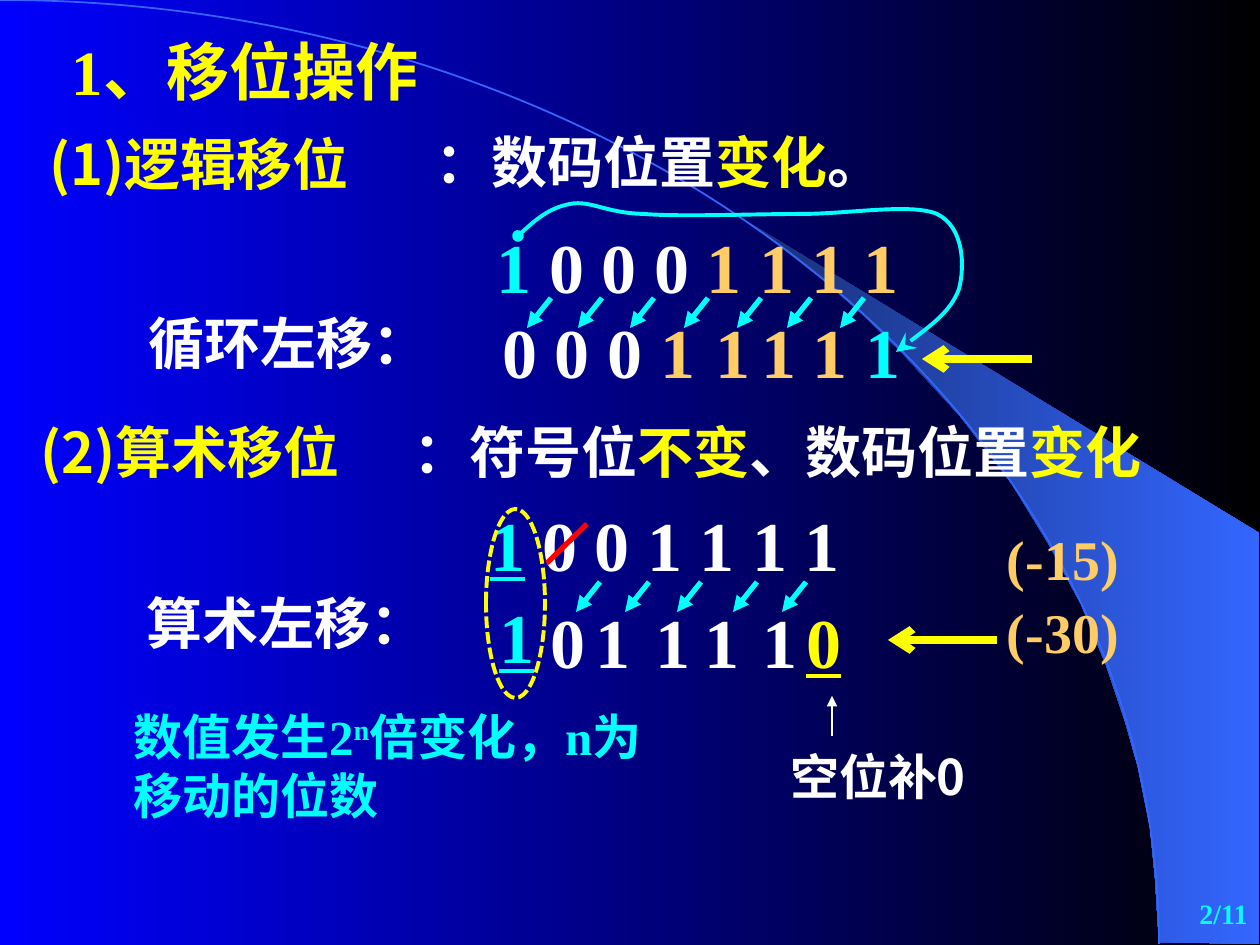
from dataclasses import dataclass
from typing import Optional

from lxml.etree import SubElement
from pptx import Presentation
from pptx.dml.color import RGBColor
from pptx.enum.dml import MSO_LINE
from pptx.enum.shapes import MSO_CONNECTOR as Connector, MSO_SHAPE as Preset
from pptx.enum.text import MSO_ANCHOR as Anchor, MSO_AUTO_SIZE as AutoSize, PP_ALIGN as Align
from pptx.oxml.ns import qn
from pptx.util import Emu, Pt

EMU_PER_PX = 914400 / 126


@dataclass(frozen=True)
class Theme:
    white: str = "FFFFFF"
    yellow: str = "FFFF00"
    cyan: str = "00FFFF"
    orange: str = "FFCC66"
    red: str = "FF0000"
    blue: str = "3366FF"
    navy: str = "182F76"
    sky: tuple = ("0000FF", "000000")
    serif: str = "Times New Roman"
    sans: str = "Noto Sans CJK SC"
    digit: int = 40
    title: int = 36
    body: int = 32
    note: int = 28
    footer: int = 16


THEME = Theme()


@dataclass(frozen=True)
class Span:
    text: str
    color: str = THEME.white
    font: str = THEME.serif
    underline: bool = False
    baseline: int = 0


@dataclass(frozen=True)
class Label:
    left: int
    top: int
    width: int
    height: int
    spans: tuple
    size: int = THEME.body
    align: Align = Align.CENTER
    spacing: Optional[float] = None
    anchor: Anchor = Anchor.TOP


@dataclass(frozen=True)
class Stroke:
    start: tuple
    end: tuple
    color: str
    width: float
    tail: Optional[str] = None


def px(value: float) -> Emu:
    return Emu(round(value * EMU_PER_PX))


def rgb(color: str) -> RGBColor:
    return RGBColor.from_string(color)


def write_label(box, label: Label) -> None:
    box.left, box.top = px(label.left), px(label.top)
    box.width, box.height = px(label.width), px(label.height)
    frame = box.text_frame
    frame.word_wrap = True
    frame.auto_size = AutoSize.NONE
    frame.vertical_anchor = label.anchor
    para = frame.paragraphs[0]
    para.alignment = label.align
    if label.spacing:
        para.line_spacing = label.spacing
    for part in label.spans:
        span = para.add_run()
        span.text = part.text
        font = span.font
        font.size, font.bold = Pt(label.size), True
        font.color.rgb = rgb(part.color)
        font.name = part.font
        font.underline = part.underline
        properties = span._r.get_or_add_rPr()
        SubElement(properties, qn("a:ea")).set("typeface", THEME.sans)
        if part.baseline:
            properties.set("baseline", str(part.baseline * 1000))


def add_label(page, label: Label) -> None:
    write_label(page.shapes.add_textbox(0, 0, 0, 0), label)


def style_line(shape, color: str, width: float, head: Optional[str] = None,
               tail: Optional[str] = None, tail_size: str = "med") -> None:
    shape.line.color.rgb = rgb(color)
    shape.line.width = Pt(width)
    outline = shape.line._get_or_add_ln()
    for tag, kind, size in (("a:headEnd", head, "med"), ("a:tailEnd", tail, tail_size)):
        if kind:
            end = SubElement(outline, qn(tag))
            end.set("type", kind)
            end.set("w", size)
            end.set("len", size)


def add_stroke(page, stroke: Stroke) -> None:
    line = page.shapes.add_connector(
        Connector.STRAIGHT, *map(px, stroke.start + stroke.end))
    style_line(line, stroke.color, stroke.width, tail=stroke.tail)
    SubElement(line._element.spPr, qn("a:effectLst"))


def add_outline(page, points: list, close: bool):
    builder = page.shapes.build_freeform(*points[0], scale=EMU_PER_PX)
    builder.add_line_segments(points[1:], close=close)
    shape = builder.convert_to_shape()
    shape.shadow.inherit = False
    return shape


def add_curve(page, knots: list):
    curve = add_outline(page, knots, close=False)
    curve.fill.background()
    segments = list(curve._element.iter(qn("a:lnTo")))
    route = segments[0].getparent()
    for first in range(0, len(segments), 3):
        bezier = SubElement(route, qn("a:cubicBezTo"))
        for segment in segments[first:first + 3]:
            bezier.append(segment[0])
            route.remove(segment)
    return curve


def paint_gradient(fill, colors: tuple) -> None:
    fill.gradient()
    fill.gradient_angle = 0
    for stop, color in zip(fill.gradient_stops, colors):
        stop.color.rgb = rgb(color)


BAND = [(1159, 942), (1259, 944), (1259, 533), (742, 218), (786, 251), (823, 280),
        (863, 315), (902, 353), (960, 416), (1012, 484), (1048, 543), (1081, 604),
        (1106, 665), (1125, 721), (1138, 767), (1150, 827), (1155, 877)]
ARC = [(0, 0), (640, 0), (1159, 422), (1159, 944)]
ROTATION = [(518, 236), (533, 222), (549, 208), (570, 204), (591, 200), (605, 213),
            (644, 214), (682, 217), (752, 214), (801, 214), (849, 214), (911, 203),
            (937, 214), (964, 227), (965, 266), (959, 289), (951, 311), (924, 331), (896, 352)]

TITLE = Label(59, 26, 630, 88, (Span("1、移位操作", THEME.yellow),), THEME.title, Align.LEFT)
LABELS = [
    Label(37, 134, 375, 131, (Span("(1)", THEME.yellow, THEME.sans), Span("逻辑移位", THEME.yellow)),
          align=Align.LEFT, spacing=0.85),
    Label(397, 121, 525, 81, (Span("：数码位置"), Span("变化", THEME.yellow), Span("。"))),
    Label(28, 411, 392, 81, (Span("(2)", THEME.yellow, THEME.sans), Span("算术移位", THEME.yellow)),
          align=Align.LEFT),
    Label(359, 411, 837, 81, (Span("：符号位"), Span("不变", THEME.yellow),
                              Span("、数码位置"), Span("变化", THEME.yellow))),
    Label(121, 302, 335, 81, (Span("循环左移：", font=THEME.sans),)),
    Label(121, 582, 331, 81, (Span("算术左移：", font=THEME.sans),)),
    Label(446, 217, 504, 97, (Span("1", THEME.cyan), Span(" 0 0 0 "),
                              Span("1 1 1 1", THEME.orange)), THEME.digit),
    Label(413, 495, 504, 97, (Span("1", THEME.cyan, underline=True),
                              Span(" 0 0 1 1 1 1")), THEME.digit),
    Label(957, 518, 212, 81, (Span("(-15)", THEME.orange),)),
    Label(957, 591, 212, 81, (Span("(-30)", THEME.orange),)),
    Label(121, 700, 546, 131, (Span("数值发生2", THEME.cyan), Span("n", THEME.cyan, baseline=30),
                               Span("倍变化，n为移动的位数", THEME.cyan)), THEME.note, Align.LEFT),
    Label(754, 740, 248, 72, (Span("空位补0", font=THEME.sans),), THEME.note),
    Label(998, 882, 262, 63, (Span("2/11", THEME.cyan),), THEME.footer, Align.RIGHT,
          anchor=Anchor.MIDDLE),
]

DIGIT_WIDTH, DIGIT_HEIGHT = 74, 97
ROTATED = [(x, 302, Span(digit, color)) for x, digit, color in zip(
    (520, 572, 625, 678, 733, 779, 830, 883), "00011111",
    [THEME.white] * 3 + [THEME.orange] * 4 + [THEME.cyan])]
SHIFTED = [(517, 587, Span("1", THEME.cyan, underline=True)),
           *((x, 592, Span(digit)) for x, digit in zip((568, 613, 673, 722, 780), "01111")),
           (824, 592, Span("0", THEME.yellow, underline=True))]

SHIFT_ROWS = {298: (551, 602, 654, 708, 761, 811, 864), 582: (600, 649, 701, 757, 806)}
STROKES = [
    *(Stroke((x, y), (x - 24, y + 30), THEME.cyan, 3, "triangle")
      for y, starts in SHIFT_ROWS.items() for x in starts),
    Stroke((1032, 359), (922, 359), THEME.yellow, 4.5, "arrow"),
    Stroke((997, 640), (888, 640), THEME.yellow, 4.5, "arrow"),
    Stroke((832, 736), (832, 696), THEME.white, 1.5, "triangle"),
    Stroke((587, 524), (547, 563), THEME.red, 3),
]


def main() -> None:
    deck = Presentation()
    deck.slide_width, deck.slide_height = px(1260), px(945)
    page = deck.slides.add_slide(deck.slide_layouts[5])
    paint_gradient(page.background.fill, THEME.sky)

    band = add_outline(page, BAND, close=True)
    paint_gradient(band.fill, (THEME.navy, THEME.blue))
    band.line.fill.background()
    style_line(add_curve(page, ARC), THEME.blue, 1)

    title = page.shapes.title
    page.shapes._spTree.append(title._element)
    write_label(title, TITLE)

    for label in LABELS:
        add_label(page, label)
    for center, top, digit in ROTATED + SHIFTED:
        add_label(page, Label(center - DIGIT_WIDTH // 2, top, DIGIT_WIDTH, DIGIT_HEIGHT,
                              (digit,), THEME.digit))

    style_line(add_curve(page, ROTATION), THEME.cyan, 2.25, "oval", "stealth", "lg")
    for stroke in STROKES:
        add_stroke(page, stroke)

    sign_ring = page.shapes.add_shape(Preset.OVAL, px(486), px(509), px(59), px(189))
    sign_ring.shadow.inherit = False
    sign_ring.fill.background()
    style_line(sign_ring, THEME.yellow, 2.25)
    sign_ring.line.dash_style = MSO_LINE.SQUARE_DOT

    deck.save("out.pptx")


if __name__ == "__main__":
    main()
